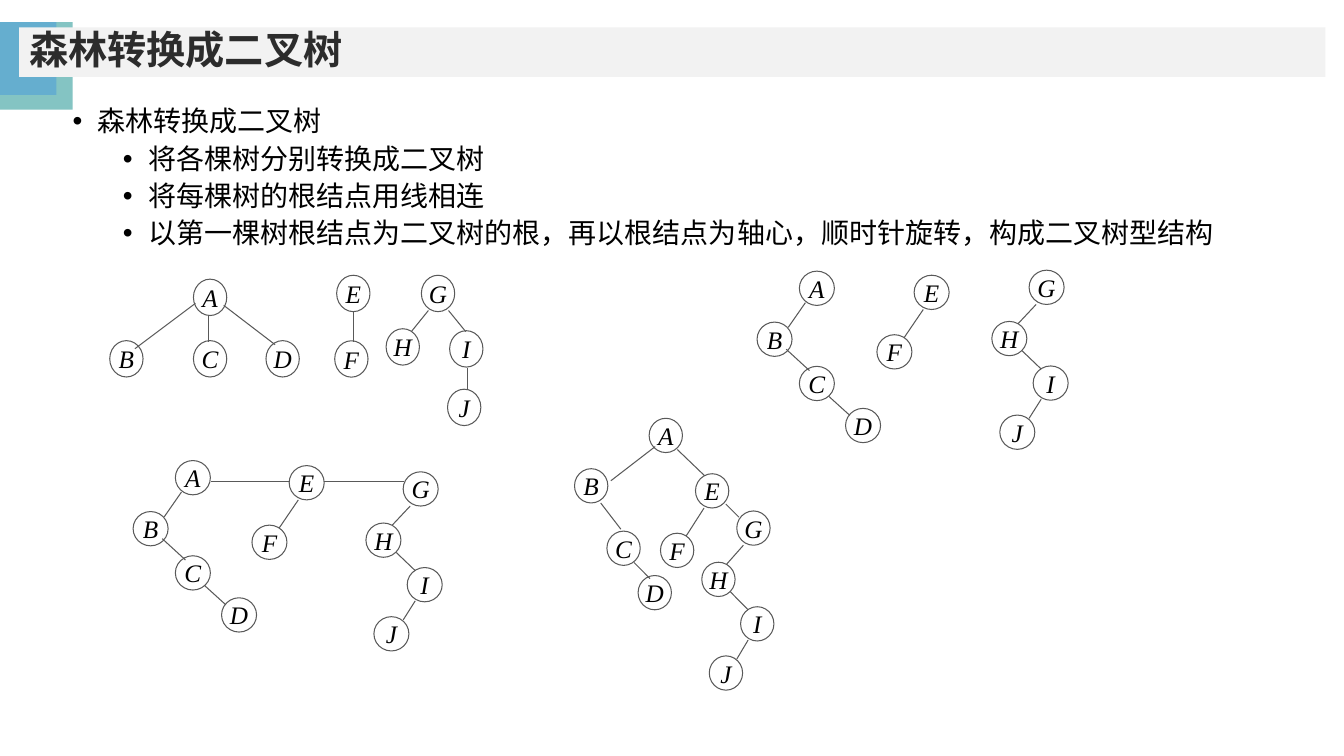
from lxml import etree
from pptx import Presentation
from pptx.dml.color import RGBColor
from pptx.enum import shapes, text
from pptx.oxml import ns
from pptx.util import Pt

COLORS = {"teal": "84C4C3", "blue": "65AECF", "band": "F2F2F2",
          "title": "2C2C2C", "text": "000000", "line": "595959"}

TITLE = "森林转换成二叉树"
BULLETS = [
    (0, "森林转换成二叉树"),
    (1, "将各棵树分别转换成二叉树"),
    (1, "将每棵树的根结点用线相连"),
    (1, "以第一棵树根结点为二叉树的根，再以根结点为轴心，顺时针旋转，构成二叉树型结构"),
]

PLAIN_A = {
    "nodes": {"A": (0, 0), "B": (-59.8, 43.9), "C": (0, 43.9), "D": (51.8, 43.9)},
    "edges": [(10.8, 25.9, 10.8, 44.6), (1.4, 17.3, -41.8, 49.7), (21.6, 18.7, 58.3, 46.8)],
}
PLAIN_E = {
    "nodes": {"E": (0, 0), "F": (-1.4, 46.8)},
    "edges": [(12.2, 26.6, 12.2, 47.5)],
}
PLAIN_G = {
    "nodes": {"G": (0, 0), "H": (-25.2, 38.2), "I": (20.2, 39.6), "J": (18.7, 81.4)},
    "edges": [(5, 25.2, -7.2, 40.3), (19.4, 25.2, 31.7, 40.3), (33.1, 66.2, 33.1, 82.1)],
}
BINARY_A = {
    "nodes": {"A": (0, 0), "B": (-30.2, 36.4), "C": (0, 68), "D": (33, 98)},
    "edges": [(4.3, 22.5, -8, 40.2), (-9.4, 55.8, 7.2, 71), (20.9, 89.3, 36, 103)],
}
BINARY_E = {
    "nodes": {"E": (0, 0), "F": (-26.6, 42.5)},
    "edges": [(6.5, 24.5, -7.2, 44.6)],
}
BINARY_G = {
    "nodes": {"G": (0, 0), "H": (-26.6, 36.6), "I": (2.9, 68.4), "J": (-20.9, 103.5)},
    "edges": [(5, 24.5, -7.9, 38.2), (-5, 57.6, 8.6, 70.6), (8.6, 92.2, 0, 105.8)],
}
ROTATED_A = {
    "nodes": {"A": (0, 0), "B": (-56.7, 36), "C": (-32.1, 80.6), "D": (-8.4, 112.3)},
    "edges": [(4.6, 20.2, -29.1, 44.6), (-36.8, 60.5, -21.5, 79.2), (-11.5, 103, 0.7, 114.5)],
}

PLAIN_NODE = (23.8, 26)
BINARY_NODE = (25, 24.5)
ROTATED_NODE = (23.8, 24.5)


def color(name):
    return RGBColor.from_string(COLORS[name])


def style_font(font, name, size, color_name):
    font.name = name
    font.size = Pt(size)
    font.color.rgb = color(color_name)


def place(shape, left, top, width, height):
    shape.left, shape.top = Pt(left), Pt(top)
    shape.width, shape.height = Pt(width), Pt(height)


def add_header(slide, left, top, width, height):
    title = slide.shapes.title
    for name, square_width, square_height in (("teal", 52, 62.6), ("blue", 40.3, 52)):
        square = slide.shapes.add_shape(shapes.MSO_SHAPE.RECTANGLE, Pt(left), Pt(top),
                                        Pt(square_width), Pt(square_height))
        square.shadow.inherit = False
        square.fill.solid()
        square.fill.fore_color.rgb = color(name)
        square.line.fill.background()
        title.element.addprevious(square.element)
    place(title, left + 13.7, top + 3.8, width - 13.7, height)
    title.fill.solid()
    title.fill.fore_color.rgb = color("band")
    frame = title.text_frame
    frame.text = TITLE
    frame.auto_size = text.MSO_AUTO_SIZE.NONE
    frame.vertical_anchor = text.MSO_ANCHOR.MIDDLE
    paragraph = frame.paragraphs[0]
    paragraph.alignment = text.PP_ALIGN.LEFT
    paragraph.line_spacing = 0.9
    style_font(paragraph.runs[0].font, "Arial", 28, "title")
    paragraph.runs[0].font.bold = True


def add_bullets(slide, left, top, width, height):
    body = slide.placeholders[1]
    place(body, left, top, width, height)
    frame = body.text_frame
    frame.text = "\n".join(line for _, line in BULLETS)
    frame.auto_size = text.MSO_AUTO_SIZE.NONE
    frame.vertical_anchor = text.MSO_ANCHOR.TOP
    for paragraph, (level, _) in zip(frame.paragraphs, BULLETS):
        paragraph.level = level
        paragraph.line_spacing = 0.9
        paragraph.space_before = Pt(5 * level)
        properties = paragraph._p.get_or_add_pPr()
        properties.set("marL", str(Pt(18 + 36 * level)))
        properties.set("indent", str(Pt(-18)))
        etree.SubElement(properties, ns.qn("a:buFont")).set("typeface", "Arial")
        etree.SubElement(properties, ns.qn("a:buChar")).set("char", "•")
        style_font(paragraph.runs[0].font, "Times New Roman", 20, "text")


def add_node(group, label, left, top, size):
    node = group.shapes.add_shape(shapes.MSO_SHAPE.OVAL, Pt(left), Pt(top), Pt(size[0]), Pt(size[1]))
    node.shadow.inherit = False
    node.fill.background()
    node.line.color.rgb = color("line")
    node.line.width = Pt(0.75)
    frame = node.text_frame
    frame.text = label
    frame.word_wrap = False
    frame.vertical_anchor = text.MSO_ANCHOR.MIDDLE
    frame.margin_left = frame.margin_right = frame.margin_top = frame.margin_bottom = 0
    paragraph = frame.paragraphs[0]
    paragraph.alignment = text.PP_ALIGN.CENTER
    style_font(paragraph.runs[0].font, "Times New Roman", 18, "text")
    paragraph.runs[0].font.italic = True


def add_edge(group, left, top, edge, stretch=1):
    start_x, start_y, end_x, end_y = edge
    line = group.shapes.add_connector(
        shapes.MSO_CONNECTOR.STRAIGHT,
        Pt(left + start_x * stretch), Pt(top + start_y),
        Pt(left + end_x * stretch), Pt(top + end_y))
    line.line.color.rgb = color("line")
    line.line.width = Pt(0.75)
    etree.SubElement(line.element.spPr, ns.qn("a:effectLst"))


def add_forest(slide, left, top, trees, node_size, links=(), stretch=1):
    group = slide.shapes.add_group_shape()
    for tree, root_x, root_y in trees:
        root_left, root_top = left + root_x, top + root_y
        for label, (x, y) in tree["nodes"].items():
            add_node(group, label, root_left + x * stretch, root_top + y, node_size)
        for edge in tree["edges"]:
            add_edge(group, root_left, root_top, edge, stretch)
    for link in links:
        add_edge(group, left, top, link)


def main():
    presentation = Presentation()
    presentation.slide_width, presentation.slide_height = Pt(960), Pt(540)
    slide = presentation.slides.add_slide(presentation.slide_layouts[1])
    add_header(slide, 0, 15.8, 946.8, 35.3)
    add_bullets(slide, 44.6, 73.4, 866.2, 103)
    add_forest(slide, 78.5, 196.6,
               [(PLAIN_A, 59.7, 2.8), (PLAIN_E, 162, 0), (PLAIN_G, 222.5, 0)], PLAIN_NODE)
    add_forest(slide, 540.7, 193,
               [(BINARY_A, 30.3, 0.7), (BINARY_E, 112.3, 3.6), (BINARY_G, 194.4, 0)], BINARY_NODE)
    add_forest(slide, 95, 329,
               [(BINARY_A, 30.3, 0), (BINARY_E, 111.6, 3.6), (BINARY_G, 193, 8)], BINARY_NODE,
               [(55.5, 15.2, 111.6, 15.2), (136.1, 15.2, 193.7, 15.2)])
    add_forest(slide, 410.4, 298.8,
               [(ROTATED_A, 53.3, 0), (BINARY_E, 86.4, 39.6), (BINARY_G, 115.9, 66.2)], ROTATED_NODE,
               [(73.4, 22.3, 92.9, 41), (108, 61.2, 117.4, 70.6)], 0.94)
    presentation.save("out.pptx")


if __name__ == "__main__":
    main()
